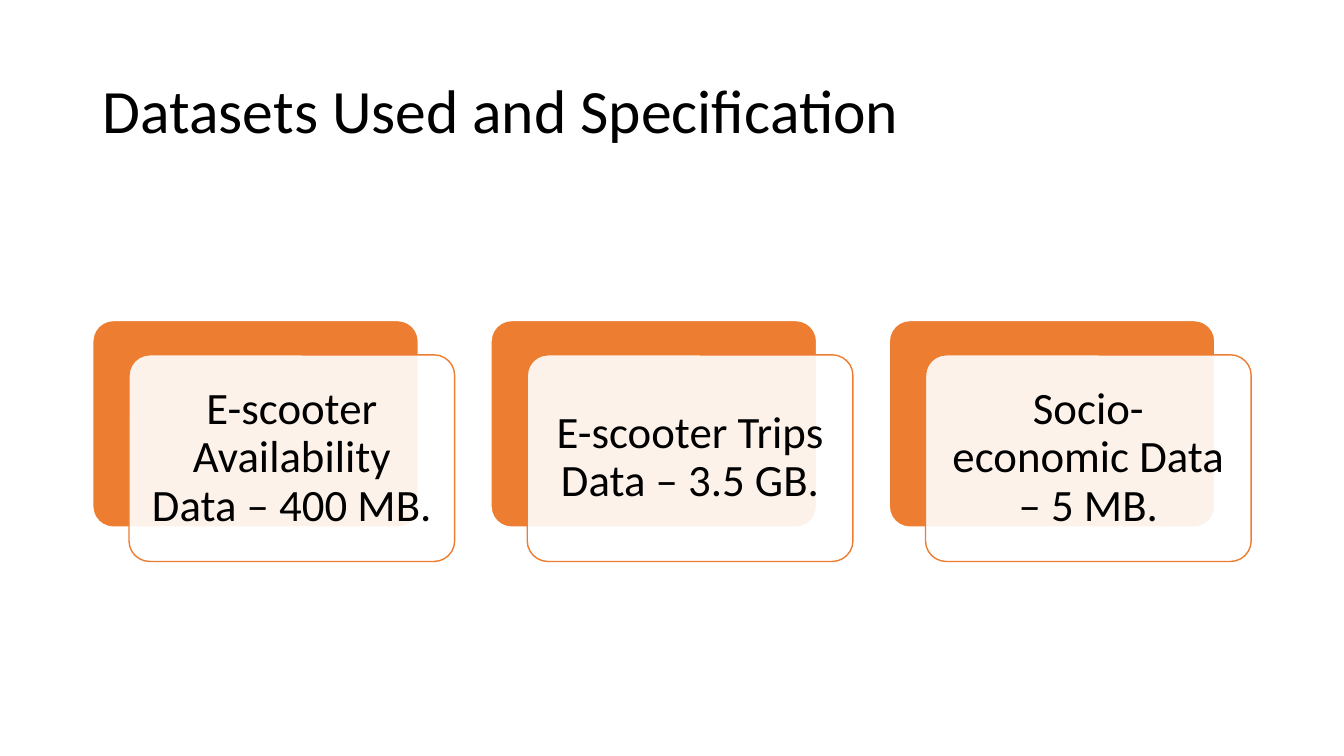
"""Build the slide that lists the datasets used and their sizes."""
from lxml.etree import SubElement
from pptx import Presentation
from pptx.dml.color import RGBColor
from pptx.enum.shapes import MSO_SHAPE
from pptx.enum.text import MSO_ANCHOR, PP_ALIGN
from pptx.oxml.ns import qn
from pptx.util import Inches, Pt

TITLE = "Datasets Used and Specification"
DATASETS = [
    "E-scooter Availability Data – 400 MB.",
    "E-scooter Trips Data – 3.5 GB.",
    "Socio-economic Data – 5 MB.",
]
THEME = {
    "font": "Calibri",
    "ink": RGBColor(0, 0, 0),
    "paper": RGBColor(255, 255, 255),
    "accent": RGBColor(0xED, 0x7D, 0x31),
    "title": Pt(44),
    "body": Pt(32),
    "line": Pt(1),
}
LEFT, TOP, WIDTH, HEIGHT = 0.92, 3.18, 3.23, 2.05
STEP = 3.95
SHIFT = (0.36, 0.34)
OPACITY = 90


def style(item, values):
    for name, value in values.items():
        setattr(item, name, value)


def write(shape, text, size, align, pad):
    frame = shape.text_frame
    style(frame, {"word_wrap": True, "vertical_anchor": MSO_ANCHOR.MIDDLE, **pad})
    para = frame.paragraphs[0]
    style(para, {"alignment": align, "line_spacing": 0.9})
    run = para.add_run()
    run.text = text
    style(run.font, {"size": size, "name": THEME["font"]})
    run.font.color.rgb = THEME["ink"]


def add_card(slide, left, top, fill, line):
    card = slide.shapes.add_shape(
        MSO_SHAPE.ROUNDED_RECTANGLE,
        Inches(left), Inches(top), Inches(WIDTH), Inches(HEIGHT))
    card.adjustments[0] = 0.1
    card.shadow.inherit = False
    card.fill.solid()
    card.fill.fore_color.rgb = fill
    card.line.color.rgb = line
    card.line.width = THEME["line"]
    return card


def fade(shape, percent):
    color = shape.fill._xPr.find(qn("a:solidFill"))[0]
    SubElement(color, qn("a:alpha")).set("val", str(percent * 1000))


def main():
    deck = Presentation()
    style(deck, {"slide_width": Inches(13.33), "slide_height": Inches(7.5)})
    slide = deck.slides.add_slide(deck.slide_layouts[6])

    title = slide.shapes.add_textbox(
        Inches(LEFT), Inches(0.4), Inches(11.5), Inches(1.45))
    write(title, TITLE, THEME["title"], PP_ALIGN.LEFT, {})

    sides = ("left", "right", "top", "bottom")
    pad = {f"margin_{side}": Inches(0.13) for side in sides}
    for index, text in enumerate(DATASETS):
        left = LEFT + index * STEP
        add_card(slide, left, TOP, THEME["accent"], THEME["paper"])
        front = add_card(slide, left + SHIFT[0], TOP + SHIFT[1],
                         THEME["paper"], THEME["accent"])
        fade(front, OPACITY)
        write(front, text, THEME["body"], PP_ALIGN.CENTER, pad)

    deck.save("out.pptx")


if __name__ == "__main__":
    main()
